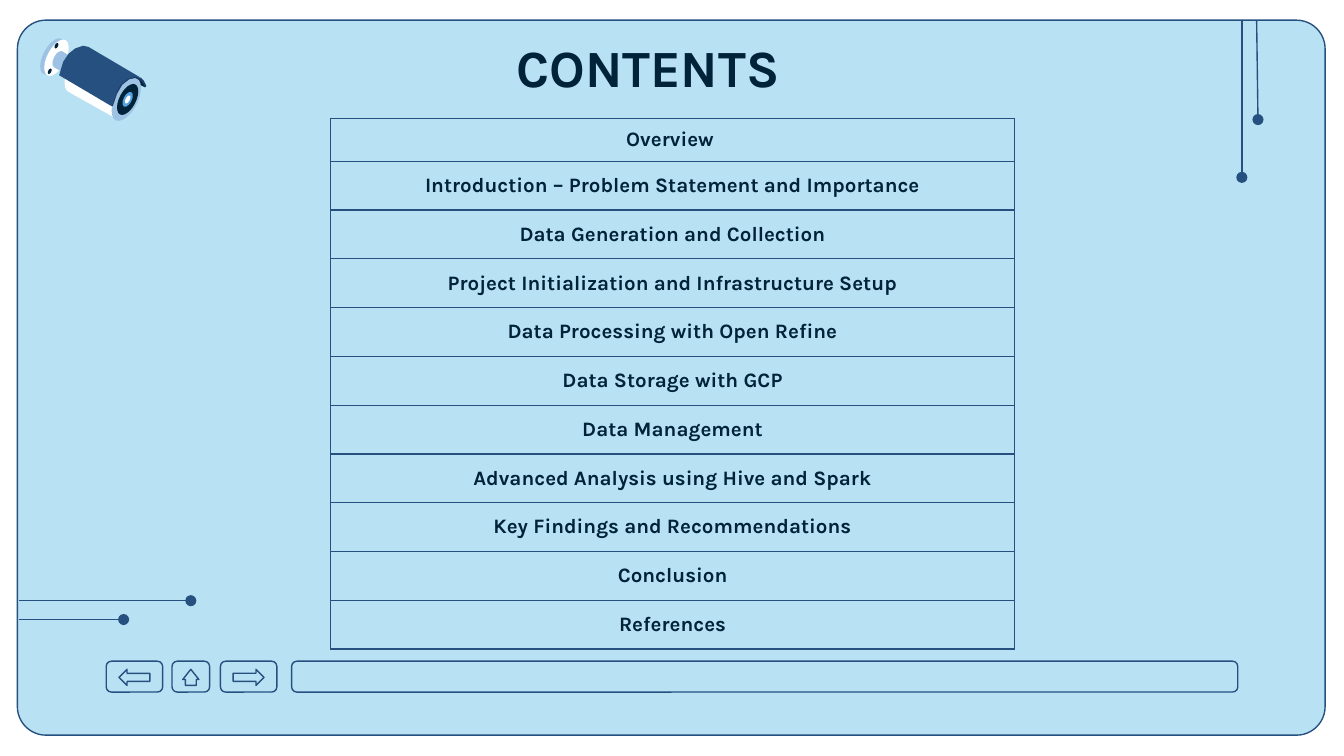
from dataclasses import dataclass

from lxml import etree
from pptx import Presentation
from pptx.dml.color import RGBColor
from pptx.enum.shapes import MSO_CONNECTOR, MSO_SHAPE
from pptx.enum.text import MSO_ANCHOR, MSO_AUTO_SIZE, PP_ALIGN
from pptx.oxml.ns import qn
from pptx.util import Inches, Pt

ROUND, ARROW, OVAL = MSO_SHAPE.ROUNDED_RECTANGLE, MSO_SHAPE.RIGHT_ARROW, MSO_SHAPE.OVAL
STRAIGHT = MSO_CONNECTOR.STRAIGHT
CENTER = PP_ALIGN.CENTER
TOP, MIDDLE = MSO_ANCHOR.TOP, MSO_ANCHOR.MIDDLE
NO_FIT = MSO_AUTO_SIZE.NONE


@dataclass(frozen=True)
class Theme:
    font: str = "Karla"
    title: float = 28
    body: float = 11
    rule: float = 0.75
    ink: str = "00233A"
    line: str = "26507F"
    panel: str = "B8E2F3"
    white: str = "FFFFFF"
    steel: str = "9EC2E3"
    pale: str = "BDD7F2"
    iris: str = "54A2DE"
    rim: str = "1E3C68"


THEME = Theme()


@dataclass(frozen=True)
class Key:
    """A navigation key: a rounded frame with an arrow inside."""
    left: float
    width: float
    arrow: float
    turn: int = 0
    adj: tuple[float, ...] = (0.5, 0.5)


@dataclass(frozen=True)
class Trace:
    """A circuit line ending in a dot."""
    start: tuple[float, float]
    end: tuple[float, float]


@dataclass(frozen=True)
class Disc:
    """A camera disc, seen at an angle, by centre and upright extent."""
    x: float
    y: float
    width: float
    height: float
    fill: str


@dataclass(frozen=True)
class Facet:
    """A straight-edged camera part."""
    fill: str
    points: tuple[tuple[float, float], ...]


TOPICS = (
    "Overview ",
    "Introduction – Problem Statement and Importance",
    "Data Generation and Collection",
    "Project Initialization and Infrastructure Setup",
    "Data Processing with Open Refine",
    "Data Storage with GCP",
    "Data Management",
    "Advanced Analysis using Hive and Spark",
    "Key Findings and Recommendations",
    "Conclusion",
    "References",
)
KEYS = (
    Key(1.64, 0.42, 0.23),
    Key(0.79, 0.42, 0.23, 180),
    Key(1.28, 0.28, 0.12, 270, (0.67, 0.63)),
)
TRACES = (
    Trace((9.35, 0.15), (9.36, 0.89)),
    Trace((9.24, 0.15), (9.24, 1.32)),
    Trace((0.14, 4.47), (1.42, 4.47)),
    Trace((0.14, 4.61), (0.92, 4.61)),
)
# Camera parts, from back to front
CAMERA = (
    Facet(THEME.pale, ((0.45, 0.29), (0.48, 0.31), (0.35, 0.56), (0.33, 0.54))),
    Disc(0.39, 0.42, 0.18, 0.27, THEME.steel),
    Disc(0.42, 0.43, 0.18, 0.27, THEME.white),
    Facet(THEME.steel, ((0.46, 0.38), (0.59, 0.46), (0.53, 0.57), (0.4, 0.5))),
    Disc(0.43, 0.44, 0.08, 0.12, THEME.steel),
    Disc(0.42, 0.34, 0.03, 0.04, THEME.ink),
    Disc(0.37, 0.53, 0.03, 0.04, THEME.ink),
    Facet(THEME.ink, ((1.01, 0.57), (1.05, 0.59), (1.07, 0.61), (1.08, 0.65),
                      (1.02, 0.62), (1, 0.58))),
    Facet(THEME.white, ((0.66, 0.38), (1.01, 0.58), (0.86, 0.88), (0.52, 0.69))),
    Disc(0.94, 0.74, 0.22, 0.32, THEME.steel),
    Disc(0.95, 0.74, 0.16, 0.23, THEME.ink),
    Disc(0.95, 0.74, 0.08, 0.11, THEME.iris),
    Disc(0.95, 0.74, 0.04, 0.06, THEME.white),
    Disc(0.59, 0.53, 0.22, 0.32, THEME.white),
    Facet(THEME.line, ((0.62, 0.34), (0.66, 0.35), (1.05, 0.58), (1.02, 0.57),
                       (0.96, 0.59), (0.91, 0.63), (0.86, 0.7), (0.83, 0.79),
                       (0.44, 0.56), (0.47, 0.46), (0.51, 0.4), (0.56, 0.36))),
    Facet(THEME.rim, ((1.01, 0.57), (1.05, 0.58), (1.07, 0.6), (1.09, 0.64),
                      (1.08, 0.65), (1.06, 0.61), (1.01, 0.58), (0.96, 0.59),
                      (0.91, 0.63), (0.87, 0.7), (0.84, 0.79), (0.83, 0.79),
                      (0.86, 0.7), (0.9, 0.63), (0.95, 0.59))),
)


def color(code: str) -> RGBColor:
    return RGBColor.from_string(code)


def write(frame, text: str, *, size: float, anchor=MIDDLE, bold: bool = True) -> None:
    frame.vertical_anchor = anchor
    para = frame.paragraphs[0]
    para.alignment = CENTER
    run = para.add_run()
    run.text = text
    font = run.font
    font.name, font.size, font.bold = THEME.font, Pt(size), bold
    font.color.rgb = color(THEME.ink)


def paint(shape, fill: str | None, edge: str | None) -> None:
    shape.shadow.inherit = False
    if fill:
        shape.fill.solid()
        shape.fill.fore_color.rgb = color(fill)
    else:
        shape.fill.background()
    if edge:
        shape.line.color.rgb = color(edge)
        shape.line.width = Pt(THEME.rule)
    else:
        shape.line.fill.background()


def block(slide, kind, box: tuple[float, ...], fill: str | None = None,
          edge: str | None = THEME.line, adj: tuple[float, ...] = (),
          turn: float = 0) -> None:
    shape = slide.shapes.add_shape(kind, *map(Inches, box))
    for i, value in enumerate(adj):
        shape.adjustments[i] = value
    shape.rotation = turn
    paint(shape, fill, edge)


def draw_key(slide, key: Key) -> None:
    block(slide, ROUND, (key.left, 4.92, key.width, 0.23), adj=(0.17,))
    left = key.left + (key.width - key.arrow) / 2
    block(slide, ARROW, (left, 4.98, key.arrow, 0.12), THEME.panel,
          adj=key.adj, turn=key.turn)


def draw_trace(slide, trace: Trace) -> None:
    link = slide.shapes.add_connector(STRAIGHT, *map(Inches, trace.start + trace.end))
    link.line.color.rgb = color(THEME.line)
    link.line.width = Pt(THEME.rule)
    props = link.element.spPr
    etree.SubElement(props.find(qn("a:ln")), qn("a:tailEnd"), type="oval")
    etree.SubElement(props, qn("a:effectLst"))


def draw_part(slide, part: Disc | Facet) -> None:
    if isinstance(part, Disc):
        # Axes of an ellipse that fills the extent when tilted
        wide, high = part.width * 0.77, part.height * 1.09
        box = (part.x - wide / 2, part.y - high / 2, wide, high)
        block(slide, OVAL, box, part.fill, None, turn=27)
        return
    spots = [(Inches(x), Inches(y)) for x, y in part.points]
    pen = slide.shapes.build_freeform(*spots[0])
    pen.add_line_segments(spots[1:], close=True)
    paint(pen.convert_to_shape(), part.fill, None)


def rule_cell(cell) -> None:
    props = cell._tc.get_or_add_tcPr()
    for i, side in enumerate(("lnL", "lnR", "lnT", "lnB")):
        edge = etree.Element(qn(f"a:{side}"), w=str(Pt(THEME.rule)))
        fill = etree.SubElement(edge, qn("a:solidFill"))
        etree.SubElement(fill, qn("a:srgbClr"), val=THEME.line)
        props.insert(i, edge)


def draw_table(slide, topics: tuple[str, ...]) -> None:
    first, total = 0.32, 3.95
    table = slide.shapes.add_table(len(topics), 1, Inches(2.46), Inches(0.88),
                                   Inches(5.09), Inches(total)).table
    table.first_row = table.horz_banding = False
    rest = (total - first) / (len(topics) - 1)
    for i, topic in enumerate(topics):
        table.rows[i].height = Inches(rest if i else first)
        cell = table.cell(i, 0)
        cell.margin_top = cell.margin_bottom = 0
        cell.fill.background()
        rule_cell(cell)
        write(cell.text_frame, topic, size=THEME.body)
        cell.vertical_anchor = MIDDLE


def main() -> None:
    deck = Presentation()
    deck.slide_width = Inches(10)
    deck.slide_height = deck.slide_width * 9 // 16
    slide = deck.slides.add_slide(deck.slide_layouts[5])

    # Panel and navigation bar
    block(slide, ROUND, (0.13, 0.15, 9.73, 5.32), THEME.panel, adj=(0.04,))
    for key in KEYS:
        draw_key(slide, key)
    block(slide, ROUND, (2.17, 4.92, 7.04, 0.23), adj=(0.17,))

    # Title, lifted above the panel
    title = slide.shapes.title
    slide.shapes.element.append(title.element)
    title.left, title.top, title.width, title.height = map(Inches, (1.89, 0.16, 5.96, 0.63))
    frame = title.text_frame
    frame.auto_size = NO_FIT
    frame.margin_left = frame.margin_right = Inches(0.1)
    frame.margin_top = frame.margin_bottom = Inches(0.1)
    write(frame, "CONTENTS ", size=THEME.title, anchor=TOP)

    # Contents, circuit lines and camera
    draw_table(slide, TOPICS)
    for trace in TRACES:
        draw_trace(slide, trace)
    for part in CAMERA:
        draw_part(slide, part)

    deck.save("out.pptx")


if __name__ == "__main__":
    main()
